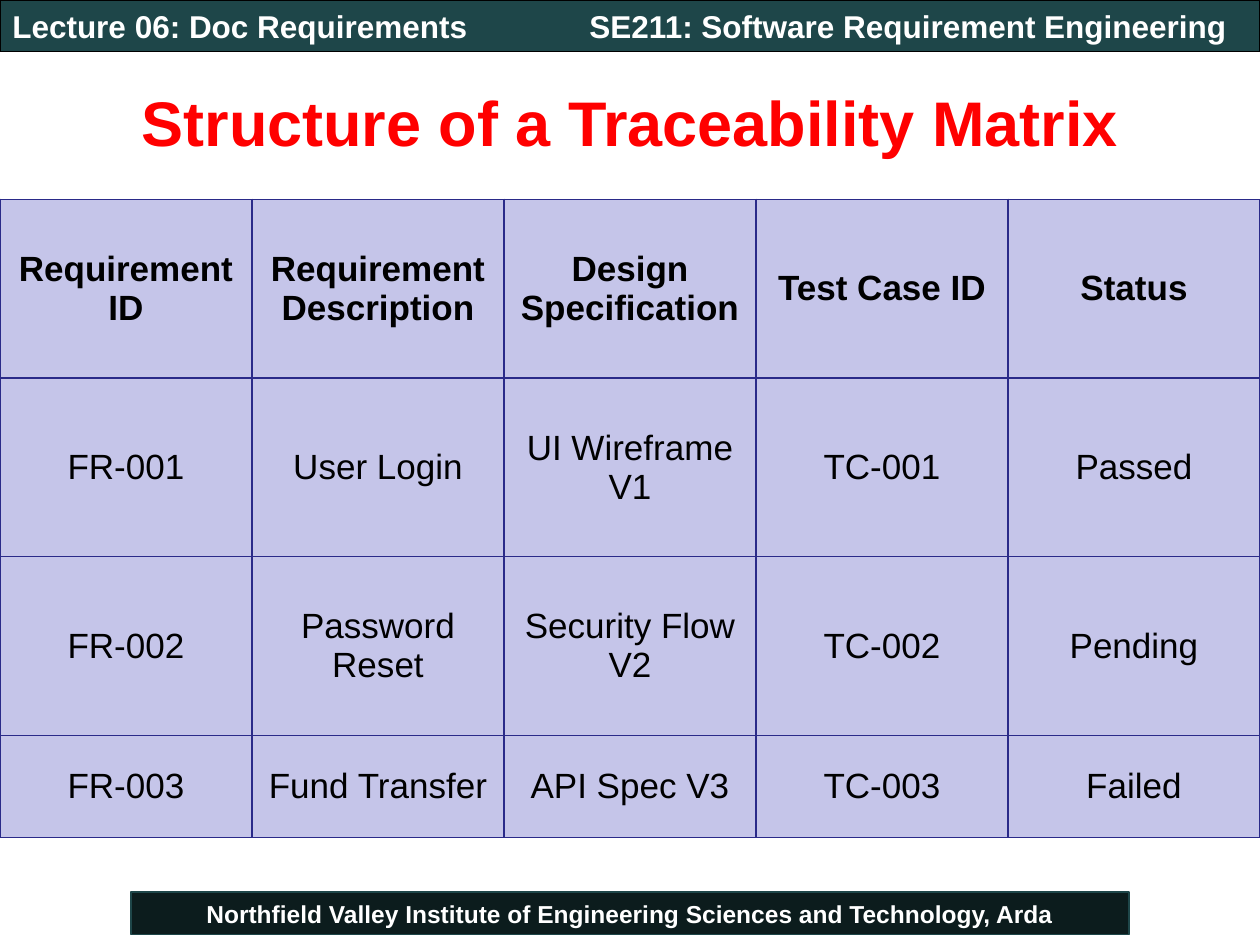
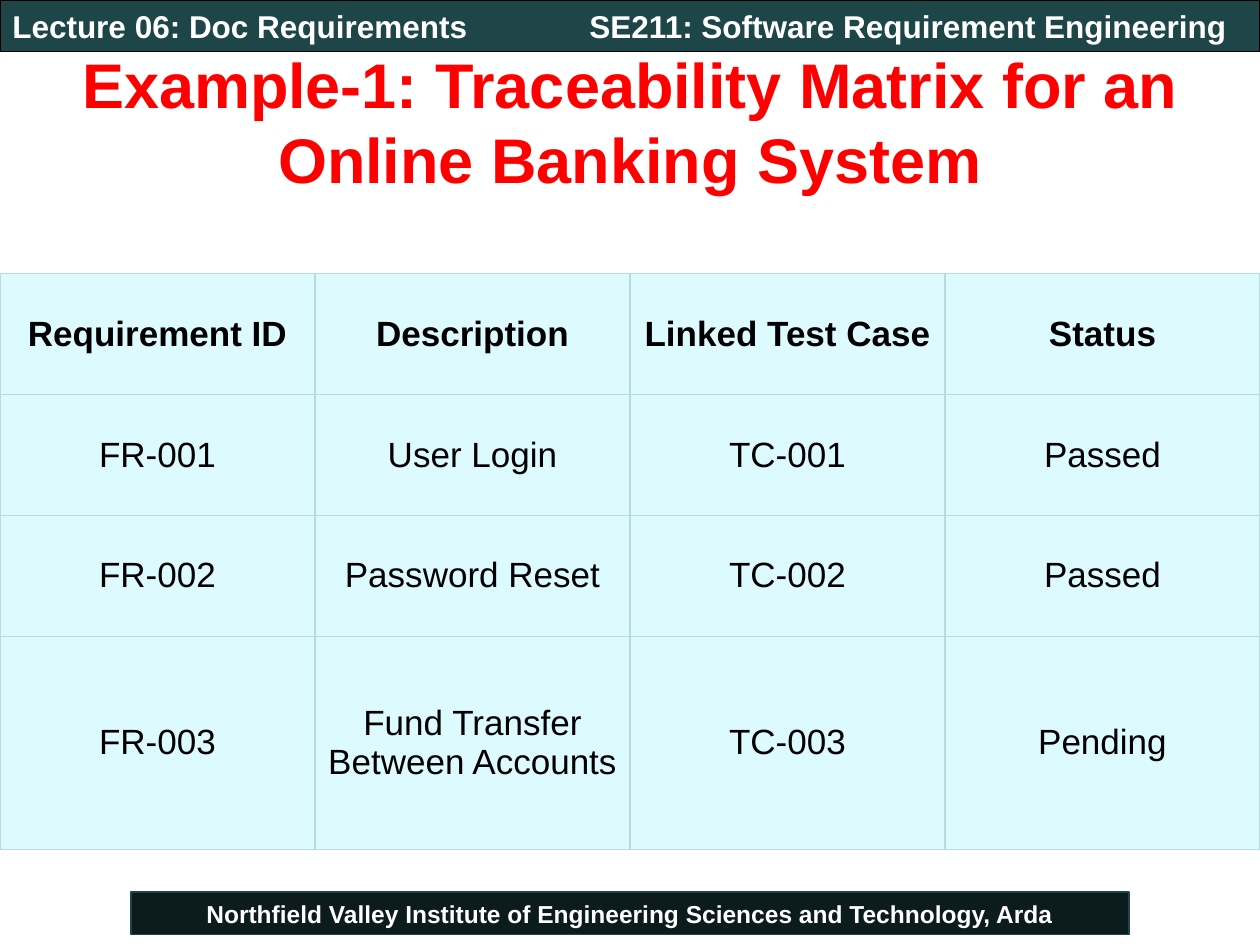
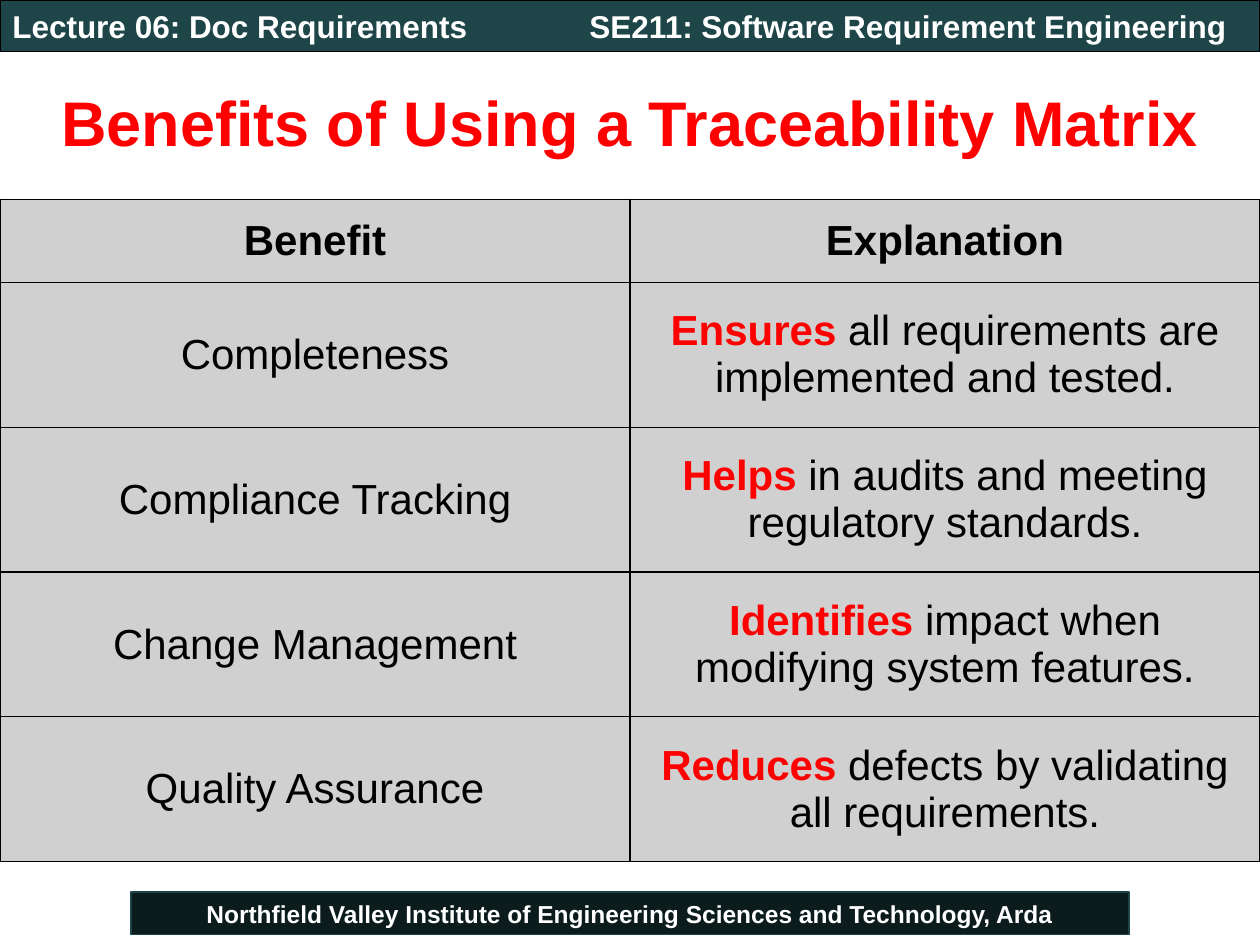
from lxml.etree import SubElement
from pptx import Presentation
from pptx.dml.color import RGBColor
from pptx.enum.shapes import MSO_SHAPE as SHAPE
from pptx.enum.text import MSO_ANCHOR as ANCHOR, PP_ALIGN as ALIGN
from pptx.oxml.ns import qn
from pptx.util import Inches, Pt

FONT = "Arial"
COLORS = {
    "header": "1E4649", "footer": "0C1C1D", "white": "FFFFFF",
    "black": "000000", "red": "FF0000",
    "lavender": "C5C5E9", "navy": "2A2A89",
    "ice": "DDFAFF", "teal": "B6DCDF", "gray": "D0D0D0",
}
LECTURE = "Lecture 06: Doc Requirements"
COURSE = "SE211: Software Requirement Engineering"
INSTITUTE = "Northfield Valley Institute of Engineering Sciences and Technology, Arda"

SLIDES = [
    {
        "title": "Structure of a Traceability Matrix",
        "top": 1.58, "heights": [1.42, 1.42, 1.42, 0.81], "size": 20,
        "fill": "lavender", "border": "navy",
        "rows": [
            ["Requirement ID", "Requirement Description", "Design Specification",
             "Test Case ID", "Status"],
            ["FR-001", "User Login", "UI Wireframe V1", "TC-001", "Passed"],
            ["FR-002", "Password Reset", "Security Flow V2", "TC-002", "Pending"],
            ["FR-003", "Fund Transfer", "API Spec V3", "TC-003", "Failed"],
        ],
    },
    {
        "title": "Example-1: Traceability Matrix for an Online Banking System",
        "top": 2.17, "heights": [0.96, 0.96, 0.96, 1.69], "size": 20,
        "fill": "ice", "border": "teal",
        "rows": [
            ["Requirement ID", "Description", "Linked Test Case", "Status"],
            ["FR-001", "User Login", "TC-001", "Passed"],
            ["FR-002", "Password Reset", "TC-002", "Passed"],
            ["FR-003", "Fund Transfer Between Accounts", "TC-003", "Pending"],
        ],
    },
    {
        "title": "Benefits of Using a Traceability Matrix",
        "top": 1.58, "heights": [0.66, 1.15, 1.15, 1.15, 1.15], "size": 24,
        "fill": "gray", "border": "black",
        "rows": [
            ["Benefit", "Explanation"],
            ["Completeness",
             ("Ensures", " all requirements are implemented and tested.")],
            ["Compliance Tracking",
             ("Helps", " in audits and meeting regulatory standards.")],
            ["Change Management",
             ("Identifies", " impact when modifying system features.")],
            ["Quality Assurance",
             ("Reduces", " defects by validating all requirements.")],
        ],
    },
]


def rgb(name):
    return RGBColor.from_string(COLORS[name])


def add_run(p, text, size, color, bold=True):
    r = p.add_run()
    r.text = text
    r.font.name = FONT
    r.font.size = Pt(size)
    r.font.bold = bold
    r.font.color.rgb = rgb(color)


def write(sp, text, size, color, align=ALIGN.LEFT):
    tf = sp.text_frame
    tf.word_wrap = True
    tf.vertical_anchor = ANCHOR.MIDDLE
    p = tf.paragraphs[0]
    p.alignment = align
    add_run(p, text, size, color)


def add_text(slide, box, *args):
    sp = slide.shapes.add_textbox(*map(Inches, box))
    write(sp, *args)


def add_band(slide, box, fill, line, *args):
    sp = slide.shapes.add_shape(SHAPE.RECTANGLE, *map(Inches, box))
    sp.shadow.inherit = False
    sp.fill.solid()
    sp.fill.fore_color.rgb = rgb(fill)
    sp.line.color.rgb = rgb(line)
    sp.line.width = Pt(0.75)
    write(sp, *args)


def set_borders(cell, color):
    tc_pr = cell._tc.get_or_add_tcPr()
    for side in ("a:lnL", "a:lnR", "a:lnT", "a:lnB"):
        ln = SubElement(tc_pr, qn(side), w=str(Pt(0.75)))
        SubElement(SubElement(ln, qn("a:solidFill")), qn("a:srgbClr"), val=COLORS[color])


def add_matrix(slide, data):
    rows, heights = data["rows"], data["heights"]
    cols = len(rows[0])
    table = slide.shapes.add_table(len(rows), cols, 0, Inches(data["top"]),
                                   Inches(10), Inches(sum(heights))).table
    table.first_row = table.horz_banding = False
    for col in table.columns:
        col.width = Inches(10 / cols)
    for i, (row, height) in enumerate(zip(rows, heights)):
        table.rows[i].height = Inches(height)
        for j, content in enumerate(row):
            cell = table.cell(i, j)
            set_borders(cell, data["border"])
            cell.fill.solid()
            cell.fill.fore_color.rgb = rgb(data["fill"])
            cell.vertical_anchor = ANCHOR.MIDDLE
            p = cell.text_frame.paragraphs[0]
            p.alignment = ALIGN.CENTER
            if isinstance(content, tuple):
                lead, content = content
                add_run(p, lead, data["size"], "red")
            add_run(p, content, data["size"], "black", bold=i == 0)


def add_frame(slide, title):
    add_band(slide, (1.04, 7.08, 7.92, 0.34), "footer", "header",
             INSTITUTE, 14, "white", ALIGN.CENTER)
    add_band(slide, (0, 0, 10, 0.41), "header", "black", LECTURE, 18, "white")
    add_text(slide, (4.58, 0, 5.42, 0.41), COURSE, 18, "white")
    add_text(slide, (0, 0.5, 10, 0.92), title, 36, "red", ALIGN.CENTER)


def main():
    prs = Presentation()
    prs.slide_width, prs.slide_height = Inches(10), Inches(7.5)
    for data in SLIDES:
        slide = prs.slides.add_slide(prs.slide_layouts[6])
        add_frame(slide, data["title"])
        add_matrix(slide, data)
    prs.save("out.pptx")


if __name__ == "__main__":
    main()
